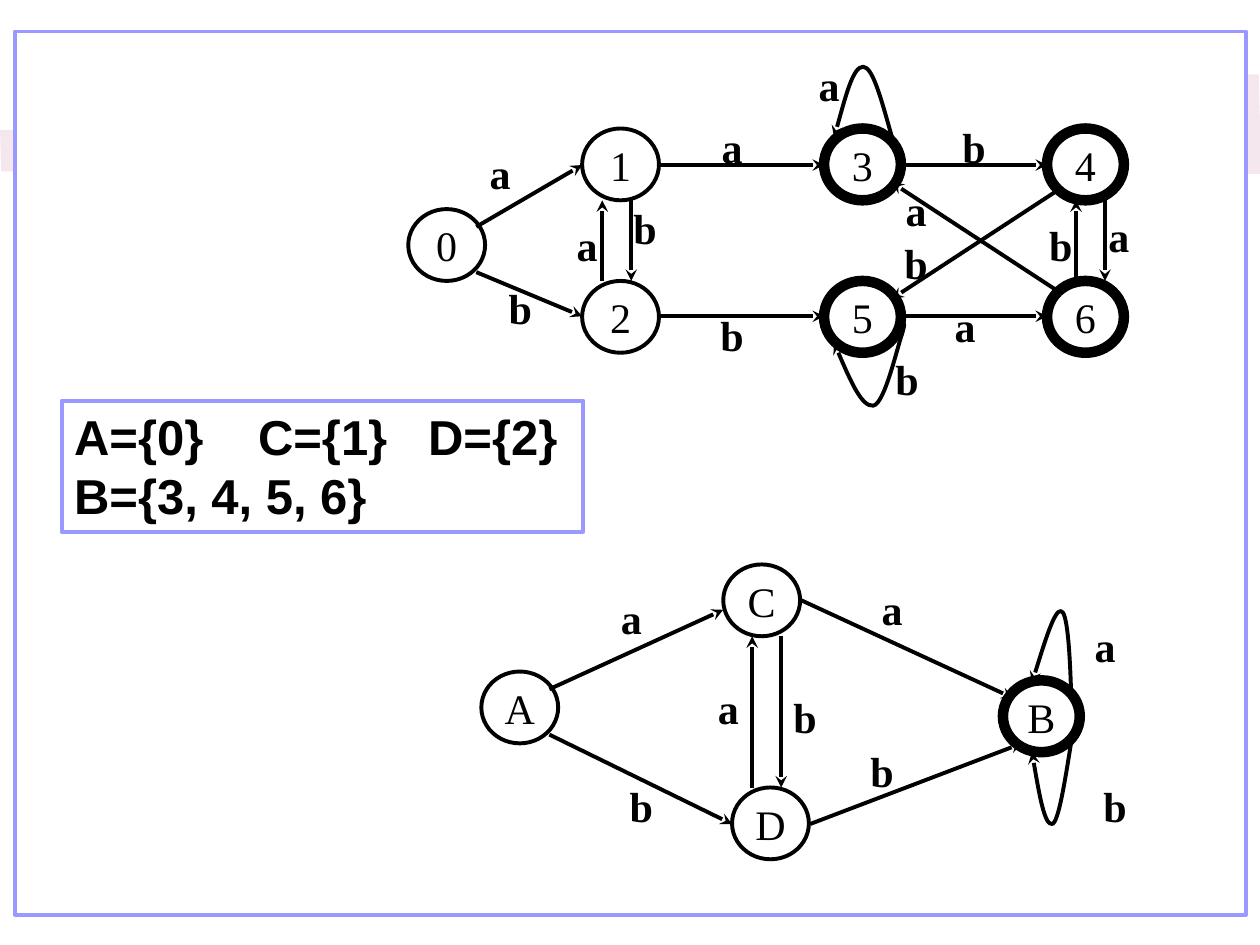
from dataclasses import dataclass
from typing import Any

from pptx import Presentation
from pptx.dml.color import RGBColor
from pptx.enum.shapes import MSO_CONNECTOR, MSO_SHAPE
from pptx.enum.text import MSO_ANCHOR, PP_ALIGN
from pptx.oxml.ns import qn
from pptx.util import Inches, Pt
from lxml.etree import SubElement


def color(hex_string):
    return RGBColor.from_string(hex_string)


@dataclass
class AutomatonSlide:
    slide: Any
    ink: str = "000000"
    border: str = "9999FF"
    paper: str = "FFFFFF"
    band: str = "F4E7ED"
    state_font: str = "Times New Roman"
    set_font: str = "Arial"
    thin: float = 2.25
    thick: float = 6
    state_size: tuple = (0.61, 0.57)
    label_size: tuple = (0.54, 0.43)

    def outline(self, shape, hex_string, width):
        shape.shadow.inherit = False
        shape.line.color.rgb = color(hex_string)
        shape.line.width = Pt(width)

    def add_text(self, paragraph, text, font, size, bold):
        run = paragraph.add_run()
        run.text = text
        run.font.name, run.font.size, run.font.bold = font, Pt(size), bold
        run.font.color.rgb = color(self.ink)

    def centred(self, shape, text, bold):
        frame = shape.text_frame
        frame.word_wrap = False
        frame.vertical_anchor = MSO_ANCHOR.MIDDLE
        frame.paragraphs[0].alignment = PP_ALIGN.CENTER
        self.add_text(frame.paragraphs[0], text, self.state_font, 24, bold)

    def arrowhead(self, shape):
        SubElement(shape.line._get_or_add_ln(), qn("a:tailEnd"), type="stealth")

    def freeform(self, points):
        points = [(Inches(x), Inches(y)) for x, y in points]
        builder = self.slide.shapes.build_freeform(*points[0])
        builder.add_line_segments(points[1:], close=False)
        return builder.convert_to_shape()

    def background_band(self, points):
        band = self.freeform(points + points[:1])
        band.shadow.inherit = False
        band.fill.solid()
        band.fill.fore_color.rgb = color(self.band)
        band.line.fill.background()

    def panel(self, left, top, width, height):
        panel = self.slide.shapes.add_shape(
            MSO_SHAPE.RECTANGLE, *map(Inches, (left, top, width, height)))
        self.outline(panel, self.border, self.thin)
        panel.fill.solid()
        panel.fill.fore_color.rgb = color(self.paper)
        return panel

    def set_list(self, box, lines, tab_stops):
        panel = self.panel(*box)
        panel.fill.background()
        frame = panel.text_frame
        frame.word_wrap = True
        frame.vertical_anchor = MSO_ANCHOR.TOP
        for index, line in enumerate(lines):
            paragraph = frame.add_paragraph() if index else frame.paragraphs[0]
            paragraph.alignment = PP_ALIGN.LEFT
            tabs = SubElement(paragraph._p.get_or_add_pPr(), qn("a:tabLst"))
            for stop in tab_stops:
                SubElement(tabs, qn("a:tab"), pos=str(Inches(stop)), algn="l")
            self.add_text(paragraph, line, self.set_font, 28, True)

    def state(self, name, left, top, final=False):
        state = self.slide.shapes.add_shape(
            MSO_SHAPE.OVAL, *map(Inches, (left, top, *self.state_size)))
        self.outline(state, self.ink, self.thick if final else self.thin)
        state.fill.background()
        self.centred(state, name, False)

    def transition(self, x1, y1, x2, y2):
        arrow = self.slide.shapes.add_connector(
            MSO_CONNECTOR.STRAIGHT, *map(Inches, (x1, y1, x2, y2)))
        arrow.line.color.rgb = color(self.ink)
        arrow.line.width = Pt(self.thin)
        self.arrowhead(arrow)
        SubElement(arrow._element.spPr, qn("a:effectLst"))

    def loop(self, points):
        """Draw a Bezier chain: a start, then three points per curve."""
        loop = self.freeform(points)
        loop.fill.background()
        self.outline(loop, self.ink, self.thin)
        self.arrowhead(loop)
        segments = list(loop._element.iter(qn("a:lnTo")))
        outline = segments[0].getparent()
        for first in range(0, len(segments), 3):
            curve = SubElement(outline, qn("a:cubicBezTo"))
            for segment in segments[first:first + 3]:
                curve.append(segment[0])
                outline.remove(segment)

    def label(self, text, left, top):
        box = self.slide.shapes.add_textbox(
            *map(Inches, (left, top, *self.label_size)))
        self.centred(box, text, True)

    def automaton(self, states, transitions, labels, loops):
        for state in states:
            self.state(*state)
        for ends in transitions:
            self.transition(*ends)
        for points in loops:
            self.loop(points)
        for text, places in labels.items():
            for left, top in places:
                self.label(text, left, top)


def main():
    prs = Presentation()
    prs.slide_width, prs.slide_height = Inches(10), Inches(7.5)
    page = AutomatonSlide(prs.slides.add_slide(prs.slide_layouts[6]))

    # Background and frame
    page.background_band([(0, 1.03), (0.76, 1.03), (1.35, 0.39), (3.75, 0.39),
                          (3.93, 0.6), (9.99, 0.59), (10.01, 1.38), (0.01, 1.36)])
    page.panel(0.12, 0.25, 9.77, 7.01)

    # Full automaton: two rows of states after the start state
    upper, lower = 1.02, 2.23
    upper_mid, lower_mid = 1.31, 2.51
    states = [("0", 3.24, 1.66)]
    for left, top_name, bottom_name, final in (
            (4.62, "1", "2", False), (6.54, "3", "5", True), (8.31, "4", "6", True)):
        states += [(top_name, left, upper, final), (bottom_name, left, lower, final)]
    transitions = [(3.78, 1.8, 4.62, upper_mid), (3.78, 2.16, 4.62, lower_mid)]
    for y in (upper_mid, lower_mid):
        transitions += [(5.24, y, 6.54, y), (7.16, y, 8.31, y)]
    for up_x, down_x in ((4.78, 5.01), (8.54, 8.77)):
        transitions += [(up_x, 2.23, up_x, 1.59), (down_x, 1.59, down_x, 2.23)]
    transitions += [(8.38, 1.52, 7.08, 2.37), (8.38, 2.3, 7.08, 1.45)]
    labels = {
        "a": [(3.7, 1.16), (5.54, 0.95), (7.39, 2.37), (4.39, 1.73),
              (8.61, 1.66), (7, 1.45), (6.31, 0.46)],
        "b": [(7.46, 0.95), (3.86, 2.23), (5.54, 2.44), (4.85, 1.59),
              (8.15, 1.73), (7, 1.87), (6.93, 2.79)],
    }
    loops = [
        [(7.08, 1.09), (7, 0.81), (6.93, 0.53), (6.85, 0.53),
         (6.77, 0.53), (6.7, 0.81), (6.62, 1.09)],
        [(7.16, 2.58), (7.17, 2.56), (7.19, 2.55), (7.16, 2.65), (7.12, 2.76),
         (7.02, 3.21), (6.93, 3.22), (6.84, 3.23), (6.73, 2.98), (6.62, 2.72)],
    ]
    page.automaton(states, transitions, labels, loops)

    # Minimised automaton
    states = [("A", 3.82, 5.33), ("C", 5.74, 4.48), ("D", 5.81, 6.25),
              ("B", 7.96, 5.4, True)]
    transitions = [(4.36, 5.47, 5.74, 4.84), (6.35, 4.76, 8.04, 5.54),
                   (4.36, 5.83, 5.81, 6.54), (6.43, 6.54, 8.11, 5.9),
                   (6.2, 5.05, 6.2, 6.25), (5.97, 6.25, 5.97, 5.05)]
    labels = {
        "a": [(4.74, 4.69), (8.5, 4.91), (5.51, 5.4), (6.81, 4.62)],
        "b": [(4.82, 6.18), (8.58, 6.18), (6.12, 5.47), (6.73, 5.9)],
    }
    loops = [
        [(8.5, 5.47), (8.49, 5.16), (8.47, 4.85), (8.42, 4.85),
         (8.37, 4.84), (8.28, 5.13), (8.19, 5.42)],
        [(8.5, 5.9), (8.45, 6.21), (8.4, 6.53), (8.35, 6.54),
         (8.29, 6.55), (8.24, 6.26), (8.19, 5.97)],
    ]
    page.automaton(states, transitions, labels, loops)

    # State sets
    page.set_list((0.49, 3.18, 4.14, 1.04),
                  ["A={0}\tC={1}\tD={2}", "B={3, 4, 5, 6}"], (1.46, 2.81))

    prs.save("out.pptx")


if __name__ == "__main__":
    main()
